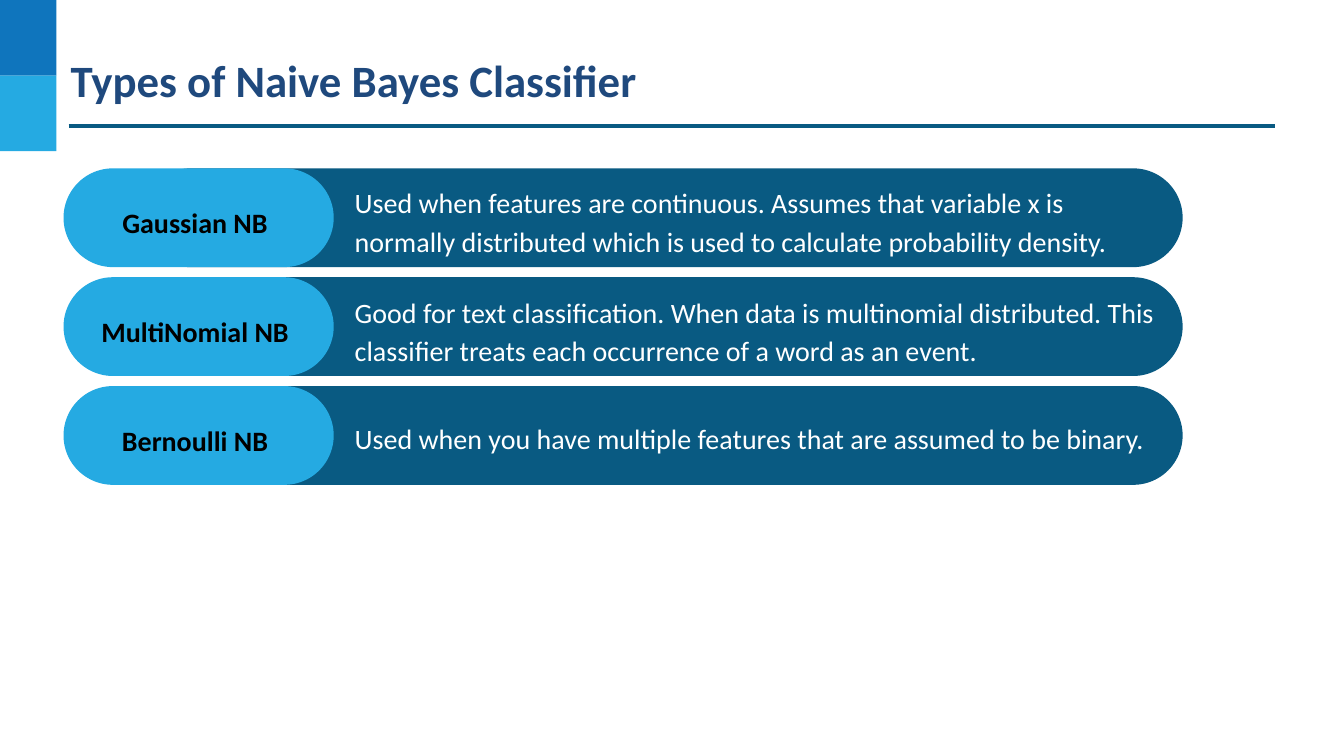
from pptx import Presentation
from pptx.dml.color import RGBColor
from pptx.enum.shapes import MSO_CONNECTOR, MSO_SHAPE
from pptx.enum.text import MSO_ANCHOR, MSO_AUTO_SIZE, PP_ALIGN
from pptx.oxml.ns import qn
from pptx.util import Pt
from lxml.etree import SubElement

# Content: label, description, description offset from the row top, width, height
TITLE = "Types of Naive Bayes Classifier"
CLASSIFIERS = [
    ("Gaussian NB",
     "Used when features are continuous. Assumes that variable x is normally "
     "distributed which is used to calculate probability density.", 2, 804, 93),
    ("MultiNomial NB",
     "Good for text classification. When data is multinomial distributed. This "
     "classifier treats each occurrence of a word as an event.", 3, 853, 93),
    ("Bernoulli NB",
     "Used when you have multiple features that are assumed to be binary.", 20, 853, 54),
]

NAVY = RGBColor(0x1F, 0x49, 0x7D)
TEAL = RGBColor(0x09, 0x5A, 0x82)
BLUE = RGBColor(0x0F, 0x75, 0xBD)
SKY = RGBColor(0x25, 0xAA, 0xE2)
BLACK = RGBColor(0, 0, 0)
WHITE = RGBColor(0xFF, 0xFF, 0xFF)

EMU_PER_PX = 9144  # 100 px to the inch
FIRST_ROW, ROW_PITCH, ROW_HEIGHT = 167, 108, 98
LABEL_OFFSET = 22


def px(*lengths):
    return [length * EMU_PER_PX for length in lengths]


def add_block(page, kind, bounds, color):
    block = page.shapes.add_shape(kind, *px(*bounds))
    block.shadow.inherit = False
    block.fill.solid()
    block.fill.fore_color.rgb = color
    block.line.fill.background()
    return block


def add_pill(page, bounds, color):
    add_block(page, MSO_SHAPE.ROUNDED_RECTANGLE, bounds, color).adjustments[0] = 0.5


def write(box, text, color, size, bold, inset, align, auto_size):
    frame = box.text_frame
    frame.text = text
    (margin,) = px(inset)
    frame_format = {"word_wrap": True, "auto_size": auto_size,
                    "vertical_anchor": MSO_ANCHOR.TOP,
                    "margin_left": margin, "margin_right": margin,
                    "margin_top": margin, "margin_bottom": margin}
    for name, value in frame_format.items():
        setattr(frame, name, value)
    para = frame.paragraphs[0]
    para.alignment = align
    font = para.runs[0].font
    for name, value in {"name": "Calibri", "size": Pt(size), "bold": bold}.items():
        setattr(font, name, value)
    font.color.rgb = color
    return para


def add_text(page, bounds, text, color, bold, align):
    box = page.shapes.add_textbox(*px(*bounds))
    para = write(box, text, color, 20, bold, 10, align, MSO_AUTO_SIZE.SHAPE_TO_FIT_TEXT)
    para.line_spacing = 1.15
    para.space_after = Pt(10)


def main():
    deck = Presentation()
    deck.slide_width, deck.slide_height = px(1333, 750)
    page = deck.slides.add_slide(deck.slide_layouts[5])

    # Corner blocks
    for index, color in enumerate((BLUE, SKY)):
        add_block(page, MSO_SHAPE.RECTANGLE, (0, index * 75, 56, 75), color)

    # Title and its rule
    title = page.shapes.title
    title.left, title.top, title.width, title.height = px(68, 50, 1229, 83)
    write(title, TITLE, NAVY, 32, True, 2, PP_ALIGN.LEFT, MSO_AUTO_SIZE.NONE)
    rule = page.shapes.add_connector(MSO_CONNECTOR.STRAIGHT, *px(68, 125, 1265, 125))
    rule.line.color.rgb = TEAL
    rule.line.width = Pt(2.25)
    SubElement(rule.element.spPr, qn("a:effectLst"))

    # One pill row per classifier
    for row, (label, description, offset, width, height) in enumerate(CLASSIFIERS):
        top = FIRST_ROW + row * ROW_PITCH
        add_pill(page, (140, top, 1033, ROW_HEIGHT), TEAL)
        add_pill(page, (63, top, 268, ROW_HEIGHT), SKY)
        add_text(page, (76, top + LABEL_OFFSET, 235, 54), label, BLACK, True, PP_ALIGN.CENTER)
        add_text(page, (342, top + offset, width, height), description, WHITE, False,
                 PP_ALIGN.LEFT)

    deck.save("out.pptx")


if __name__ == "__main__":
    main()
